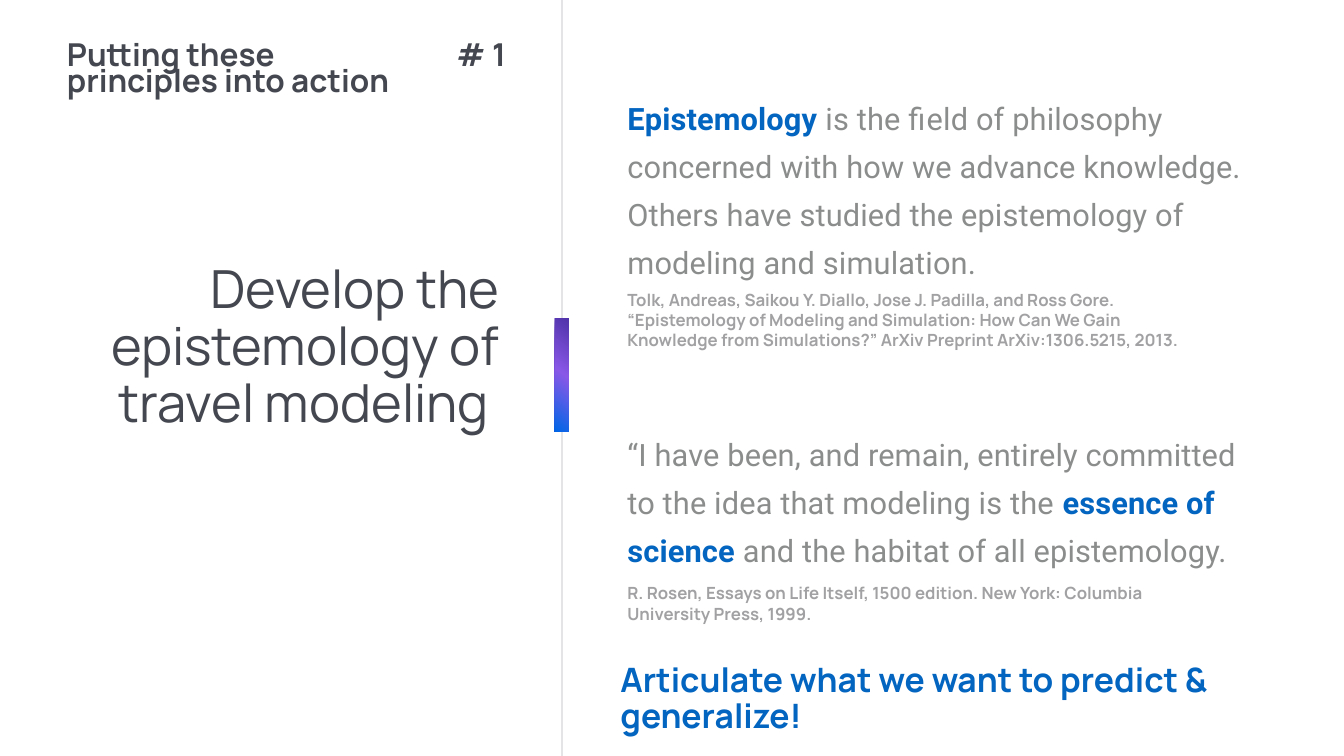
import copy

import pptx
import pptx.dml.color
import pptx.enum.shapes
import pptx.enum.text
import pptx.oxml.ns
import pptx.util
from pptx.util import Inches

RGBColor = pptx.dml.color.RGBColor
Align = pptx.enum.text.PP_ALIGN
Anchor = pptx.enum.text.MSO_ANCHOR
AutoSize = pptx.enum.text.MSO_AUTO_SIZE
RECTANGLE = pptx.enum.shapes.MSO_SHAPE.RECTANGLE

WHITE = RGBColor(0xFF, 0xFF, 0xFF)
DARK = RGBColor(0x44, 0x47, 0x4F)
BLUE = RGBColor(0x03, 0x65, 0xC0)
GREY = RGBColor(0x8B, 0x8C, 0x8C)
CITATION_GREY = RGBColor(0xA1, 0xA1, 0xA3)
RULE_GREY = RGBColor(0xE4, 0xE4, 0xE7)
ACCENT_STOPS = [
    (0, RGBColor(0x50, 0x33, 0xAA)),
    (0.49, RGBColor(0x89, 0x58, 0xE7)),
    (1, RGBColor(0x00, 0x66, 0xE6)),
]
COLUMN_LEFT = 12.39


def place(shape, left, top, width, height):
    """Move and size a shape, in inches."""
    shape.left, shape.top = Inches(left), Inches(top)
    shape.width, shape.height = Inches(width), Inches(height)


def set_frame(shape, anchor, inset=0.06, auto_size=AutoSize.NONE):
    """Set wrapping, anchor and insets, and return the first paragraph."""
    frame = shape.text_frame
    frame.word_wrap = True
    frame.auto_size = auto_size
    frame.vertical_anchor = anchor
    frame.margin_left = frame.margin_right = Inches(inset)
    frame.margin_top = frame.margin_bottom = Inches(inset)
    return frame.paragraphs[0]


def add_run(paragraph, text, size, color, font="Manrope", bold=False):
    """Append one formatted run and return it."""
    run = paragraph.add_run()
    run.text = text
    run.font.name = font
    run.font.size = pptx.util.Pt(size)
    run.font.bold = bold
    run.font.color.rgb = color
    return run


def add_rule(slide):
    """Draw the vertical rule between the two columns."""
    rule = slide.shapes.add_connector(
        pptx.enum.shapes.MSO_CONNECTOR.STRAIGHT,
        Inches(11.15), Inches(15), Inches(11.15), Inches(0))
    rule.line.color.rgb = RULE_GREY
    rule.line.width = pptx.util.Pt(3)
    properties = rule._element.spPr
    properties.append(properties.makeelement(pptx.oxml.ns.qn("a:effectLst"), {}))


def add_rectangle(slide, left, top, width, height):
    """Add a rectangle without line or shadow."""
    shape = slide.shapes.add_shape(
        RECTANGLE, Inches(left), Inches(top), Inches(width), Inches(height))
    shape.shadow.inherit = False
    shape.line.fill.background()
    return shape


def add_accent(slide):
    """Add the gradient marker on the rule."""
    fill = add_rectangle(slide, 11.01, 6.31, 0.28, 2.25).fill
    fill.gradient()
    fill.gradient_angle = 360 - 126
    first = fill.gradient_stops[0]._gs
    first.addnext(copy.deepcopy(first))
    for stop, (position, color) in zip(fill.gradient_stops, ACCENT_STOPS):
        stop.position = position
        stop.color.rgb = color


def add_header(slide, text, left, width, height):
    """Add a tightly set header label on white."""
    shape = add_rectangle(slide, left, 0.79, width, height)
    shape.fill.solid()
    shape.fill.fore_color.rgb = WHITE
    paragraph = set_frame(shape, Anchor.TOP, 0.1)
    paragraph.alignment = Align.LEFT
    paragraph.line_spacing = 0.7
    add_run(paragraph, text, 45, DARK, bold=True)


def add_text_box(slide, left, top, width, height):
    """Add an empty text box."""
    return slide.shapes.add_textbox(
        Inches(left), Inches(top), Inches(width), Inches(height))


def fill_title(title, text):
    """Fill the title placeholder."""
    place(title, 1.6, 5.17, 8.37, 4.66)
    paragraph = set_frame(title, Anchor.TOP)
    paragraph.alignment = Align.RIGHT
    paragraph.line_spacing = 0.9
    add_run(paragraph, text, 75, DARK)


def fill_statement(shape, pieces):
    """Fill a shape with body text whose key terms are bold blue."""
    paragraph = set_frame(shape, Anchor.MIDDLE, auto_size=AutoSize.SHAPE_TO_FIT_TEXT)
    properties = paragraph._p.get_or_add_pPr()
    properties.set("marL", "0")
    properties.set("indent", "0")
    properties.append(properties.makeelement(pptx.oxml.ns.qn("a:buNone"), {}))
    paragraph.line_spacing = 1.3
    paragraph.space_before = pptx.util.Pt(0)
    for text, is_key in pieces:
        run = add_run(paragraph, text, 44, BLUE if is_key else GREY, "Roboto", is_key)
        run.font._element.set("spc", "20")


def add_citation(slide, text, top, height):
    """Add a small source reference."""
    shape = add_text_box(slide, COLUMN_LEFT, top, 11.16, height)
    paragraph = set_frame(shape, Anchor.MIDDLE, auto_size=AutoSize.SHAPE_TO_FIT_TEXT)
    add_run(paragraph, text, 24, CITATION_GREY, bold=True)


def add_call_to_action(slide, text):
    """Add the closing message."""
    shape = add_text_box(slide, 12.25, 12.77, 14.41, 2.23)
    paragraph = set_frame(shape, Anchor.MIDDLE)
    paragraph.line_spacing = 0.9
    add_run(paragraph, text, 48, BLUE, bold=True)


def main():
    """Build and save the slide."""
    presentation = pptx.Presentation()
    presentation.slide_width = Inches(26.67)
    presentation.slide_height = Inches(15)
    slide = presentation.slides.add_slide(presentation.slide_layouts[1])

    add_rule(slide)
    add_accent(slide)
    fill_title(slide.shapes.title, "Develop the epistemology of travel modeling ")
    add_header(slide, "Putting these principles into action", 1.23, 7.21, 1.18)
    add_header(slide, "# 1", 8.96, 1.28, 0.65)

    body = slide.placeholders[1]
    place(body, COLUMN_LEFT, 1.68, 13.01, 3.96)
    fill_statement(body, [
        ("Epistemology", True),
        (" is the field of philosophy concerned with how we advance knowledge. "
         "Others have studied the epistemology of modeling and simulation.", False),
    ])
    add_citation(
        slide,
        "Tolk, Andreas, Saikou Y. Diallo, Jose J. Padilla, and Ross Gore. "
        "“Epistemology of Modeling and Simulation: How Can We Gain Knowledge "
        "from Simulations?” ArXiv Preprint ArXiv:1306.5215, 2013.",
        5.69, 1.32)

    fill_statement(add_text_box(slide, COLUMN_LEFT, 8.36, 12.54, 3), [
        ("“I have been, and remain, entirely committed to the idea that "
         "modeling is the ", False),
        ("essence of science", True),
        (" and the habitat of all epistemology.", False),
    ])
    add_citation(
        slide,
        "R. Rosen, Essays on Life Itself, 1500 edition. "
        "New York: Columbia University Press, 1999.",
        11.51, 0.92)
    add_call_to_action(slide, "Articulate what we want to predict & generalize!")

    presentation.save("out.pptx")


if __name__ == "__main__":
    main()
